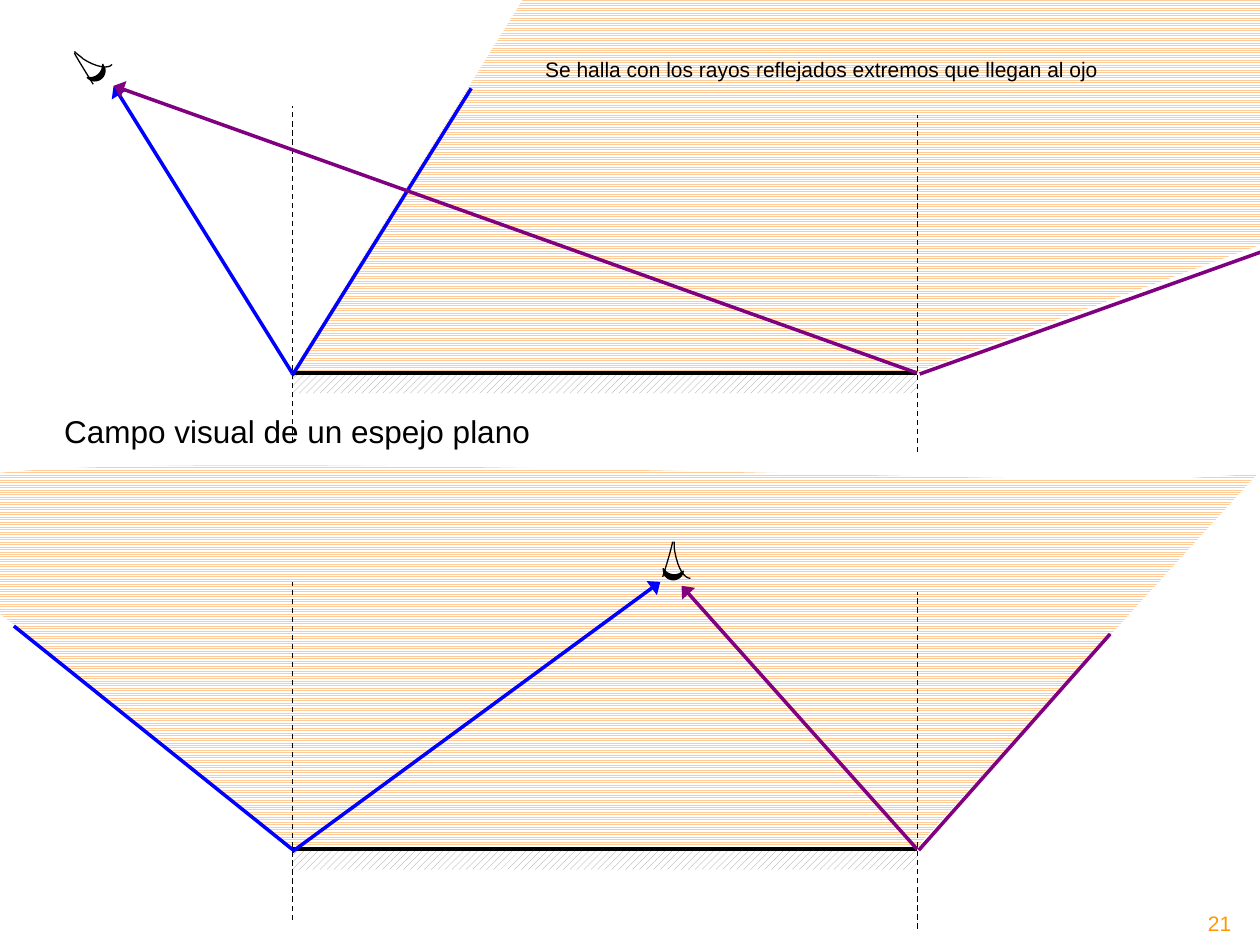
from lxml.etree import SubElement
from pptx import Presentation
from pptx.dml.color import RGBColor
from pptx.enum.dml import MSO_LINE, MSO_PATTERN
from pptx.enum.shapes import MSO_CONNECTOR, MSO_SHAPE
from pptx.enum.text import MSO_ANCHOR, MSO_AUTO_SIZE, PP_ALIGN
from pptx.oxml.ns import qn
from pptx.util import Cm, Pt

BLACK = RGBColor(0x00, 0x00, 0x00)
WHITE = RGBColor(0xFF, 0xFF, 0xFF)
BLUE = RGBColor(0x00, 0x00, 0xFF)
PURPLE = RGBColor(0x80, 0x00, 0x80)
ORANGE = RGBColor(0xFF, 0x99, 0x00)
PEACH = RGBColor(0xFF, 0xCC, 0x99)
GRAY = RGBColor(0x96, 0x96, 0x96)

MIRROR_LEFT, MIRROR_RIGHT = 5.89, 18.49


def write_text(shape, text, left, top, width, height, size=12, color=BLACK, wrap=False):
    shape.left, shape.top, shape.width, shape.height = Cm(left), Cm(top), Cm(width), Cm(height)
    frame = shape.text_frame
    frame.text = text
    frame.word_wrap = wrap
    frame.auto_size = MSO_AUTO_SIZE.SHAPE_TO_FIT_TEXT
    frame.vertical_anchor = MSO_ANCHOR.TOP
    paragraph = frame.paragraphs[0]
    paragraph.alignment = PP_ALIGN.LEFT
    font = paragraph.runs[0].font
    font.name, font.size, font.color.rgb = "Arial", Pt(size), color


def draw_outline(shapes, start, segments, close):
    points = [(Cm(s[i]), Cm(s[i + 1])) for s in segments for i in range(0, len(s), 2)]
    builder = shapes.build_freeform(Cm(start[0]), Cm(start[1]))
    builder.add_line_segments(points, close=close)
    shape = builder.convert_to_shape()
    shape.shadow.inherit = False
    steps = iter(list(shape._element.iter(qn("a:lnTo"))))
    for segment in segments:
        step = next(steps)
        if len(segment) == 6:
            step.tag = qn("a:cubicBezTo")
            for extra in (next(steps), next(steps)):
                step.append(extra[0])
                extra.getparent().remove(extra)
    return shape


scenes = [
    {
        "mirror_top": 7.52,
        "field": ((10.77, -0.38), [
            (MIRROR_LEFT, 7.49), (MIRROR_RIGHT, 7.49), (25.5, 4.9), (25.48, 0.23),
            (25.2, -0.64, 26.16, -0.1, 23.72, -0.2), (21.26, -0.3, 10.77, -0.38, 10.77, -0.38)]),
        "normals": [(MIRROR_LEFT, 8.92, 2.13), (MIRROR_RIGHT, 9.12, 2.31)],
        "rays": [
            ((2.29, 1.73), (MIRROR_LEFT, 7.52), BLUE, True),
            ((9.5, 1.78), (MIRROR_LEFT, 7.57), BLUE, False),
            ((2.29, 1.73), (MIRROR_RIGHT, 7.52), PURPLE, True),
            ((25.98, 4.88), (18.54, 7.54), PURPLE, False)],
        "eyelids": [
            ((1.5, 1.07), [(1.55, 1.17, 1.8, 1.57, 1.88, 1.7)]),
            ((1.5, 1.04), [(1.55, 1.09, 1.63, 1.14, 1.68, 1.19), (1.93, 1.35, 2.18, 1.4, 2.26, 1.3)])],
        "pupil": (1.88, 1.3, 229.5),
    },
    {
        "mirror_top": 17.12,
        "field": ((-0.23, 12.19), [
            (MIRROR_LEFT, 17.07), (MIRROR_RIGHT, 17.07), (25.35, 9.55), (23.34, 9.68),
            (19.13, 9.68, 3.96, 9.12, 0.03, 9.53), (-3.89, 9.96, -0.18, 11.63, -0.23, 12.19)]),
        "normals": [(MIRROR_LEFT, 18.54, 11.73), (MIRROR_RIGHT, 18.72, 11.94)],
        "rays": [
            ((0.28, 12.62), (MIRROR_LEFT, 17.12), BLUE, False),
            ((13.31, 11.73), (MIRROR_LEFT, 17.17), BLUE, True),
            ((13.74, 11.81), (MIRROR_RIGHT, 17.12), PURPLE, True),
            ((22.38, 12.78), (18.52, 17.14), PURPLE, False)],
        "eyelids": [
            ((13.56, 10.92), [(13.54, 11.05, 13.41, 11.48, 13.36, 11.63)]),
            ((13.59, 10.92), [(13.59, 11, 13.59, 11.07, 13.61, 11.15),
                              (13.67, 11.46, 13.79, 11.66, 13.92, 11.66)])],
        "pupil": (13.46, 11.38, 277.2),
    },
]

presentation = Presentation()
presentation.slide_width, presentation.slide_height = Cm(25.4), Cm(19.05)
slide = presentation.slides.add_slide(presentation.slide_layouts[5])

for scene in scenes:
    mirror_top = scene["mirror_top"]
    field = draw_outline(slide.shapes, *scene["field"], close=True)
    backing = slide.shapes.add_shape(
        MSO_SHAPE.RECTANGLE, Cm(MIRROR_LEFT), Cm(mirror_top), Cm(MIRROR_RIGHT - MIRROR_LEFT), Cm(0.41))
    backing.shadow.inherit = False
    for shape, pattern, color in [
        (field, MSO_PATTERN.LIGHT_HORIZONTAL, PEACH),
        (backing, MSO_PATTERN.WIDE_UPWARD_DIAGONAL, GRAY),
    ]:
        shape.fill.patterned()
        shape.fill.pattern = pattern
        shape.fill.fore_color.rgb = color
        shape.fill.back_color.rgb = WHITE
        shape.line.fill.background()

    rays = [(start, end, color, 2, False, arrow) for start, end, color, arrow in scene["rays"]]
    normals = [((x, bottom), (x, top), BLACK, 0.75, True, False) for x, bottom, top in scene["normals"]]
    mirror = ((MIRROR_LEFT, mirror_top), (MIRROR_RIGHT, mirror_top), BLACK, 2, False, False)
    lines = [mirror, rays[0], normals[0], rays[1], rays[2], normals[1], rays[3]]
    for start, end, color, width, dashed, arrow in lines:
        connector = slide.shapes.add_connector(
            MSO_CONNECTOR.STRAIGHT, Cm(start[0]), Cm(start[1]), Cm(end[0]), Cm(end[1]))
        connector.line.color.rgb = color
        connector.line.width = Pt(width)
        if dashed:
            connector.line.dash_style = MSO_LINE.DASH
        if arrow:
            SubElement(connector.line._get_or_add_ln(), qn("a:headEnd"), type="triangle", w="lg", len="med")
        SubElement(connector._element.spPr, qn("a:effectLst"))

    eye = slide.shapes.add_group_shape()
    left, top, rotation = scene["pupil"]
    pupil = eye.shapes.add_shape(MSO_SHAPE.MOON, Cm(left), Cm(top), Cm(0.2), Cm(0.41))
    pupil.shadow.inherit = False
    pupil.rotation = rotation
    pupil.fill.solid()
    pupil.fill.fore_color.rgb = BLACK
    eyelids = [draw_outline(eye.shapes, *eyelid, close=False) for eyelid in scene["eyelids"]]
    for eyelid in eyelids:
        eyelid.fill.background()
    for shape in [pupil, *eyelids]:
        shape.line.color.rgb = BLACK
        shape.line.width = Pt(0.75)

title = slide.shapes.title
slide.shapes._spTree.append(title._element)
write_text(title, "Campo visual de un espejo plano", 1.04, 8.18, 9.98, 1.02, size=18)
page_number = slide.shapes.add_textbox(0, 0, 0, 0)
write_text(page_number, "21", 24.1, 18.24, 0.99, 0.76, color=ORANGE)
caption = slide.shapes.add_textbox(0, 0, 0, 0)
write_text(caption, "Se halla con los rayos reflejados extremos que llegan al ojo",
           10.74, 1.02, 12.7, 0.76, wrap=True)

presentation.save("out.pptx")
